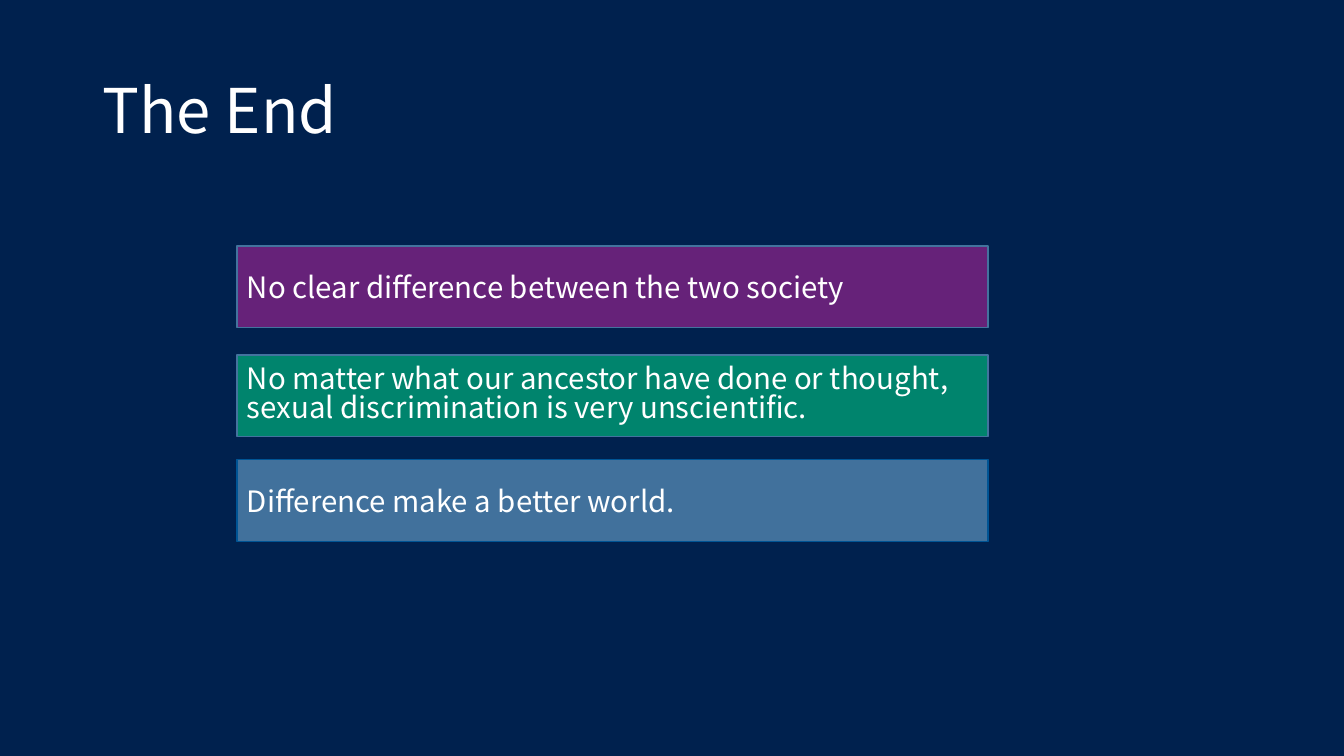
import pptx
import pptx.util
import pptx.dml.color
import pptx.enum.shapes
import pptx.enum.text

Inches = pptx.util.Inches
Pt = pptx.util.Pt
RGBColor = pptx.dml.color.RGBColor

FONT = "Noto Sans CJK SC"
NAVY = RGBColor(0x00, 0x21, 0x4E)
WHITE = RGBColor(0xFF, 0xFF, 0xFF)
PURPLE = RGBColor(0x66, 0x22, 0x79)
GREEN = RGBColor(0x00, 0x84, 0x6D)
STEEL = RGBColor(0x41, 0x71, 0x9C)
STEEL_EDGE = RGBColor(0x43, 0x73, 0x9E)
BLUE_EDGE = RGBColor(0x00, 0x54, 0x94)

TITLE = "The End"
CONCLUSIONS = [
    ("No clear difference between the two society", 2.44, PURPLE, STEEL_EDGE, 1.0),
    ("No matter what our ancestor have done or thought, "
     "sexual discrimination is very unscientific.", 3.52, GREEN, STEEL_EDGE, 0.82),
    ("Difference make a better world.", 4.56, STEEL, BLUE_EDGE, 1.0),
]
BAR_LEFT, BAR_WIDTH, BAR_HEIGHT = 2.35, 7.45, 0.81


def write(sp, text, size, spacing=1.0):
    tf = sp.text_frame
    tf.word_wrap = True
    tf.vertical_anchor = pptx.enum.text.MSO_ANCHOR.MIDDLE
    p = tf.paragraphs[0]
    p.alignment = pptx.enum.text.PP_ALIGN.LEFT
    p.line_spacing = spacing
    r = p.add_run()
    r.text = text
    r.font.name = FONT
    r.font.size = Pt(size)
    r.font.color.rgb = WHITE


prs = pptx.Presentation()
prs.slide_width = Inches(13.33)
prs.slide_height = Inches(7.5)
s = prs.slides.add_slide(prs.slide_layouts[6])
s.background.fill.solid()
s.background.fill.fore_color.rgb = NAVY

title = s.shapes.add_textbox(Inches(0.92), Inches(0.4), Inches(11.5), Inches(1.45))
write(title, TITLE, size=44, spacing=0.9)

for text, top, fill, edge, spacing in CONCLUSIONS:
    bar = s.shapes.add_shape(
        pptx.enum.shapes.MSO_SHAPE.RECTANGLE,
        Inches(BAR_LEFT), Inches(top), Inches(BAR_WIDTH), Inches(BAR_HEIGHT))
    bar.shadow.inherit = False
    bar.fill.solid()
    bar.fill.fore_color.rgb = fill
    bar.line.color.rgb = edge
    bar.line.width = Pt(1)
    write(bar, text, size=21, spacing=spacing)

prs.save("out.pptx")
